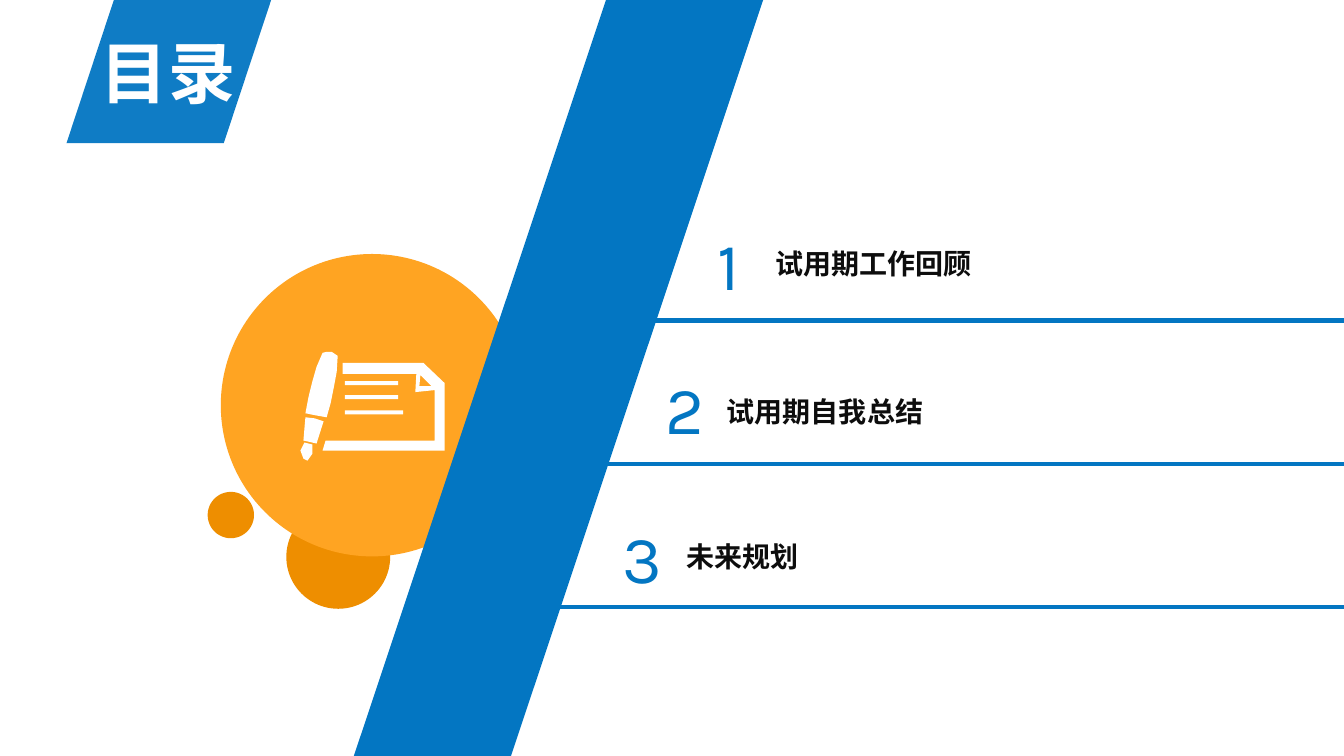
from dataclasses import dataclass

from lxml import etree
from pptx import Presentation
from pptx.dml.color import RGBColor
from pptx.enum import shapes, text
from pptx.oxml import ns
from pptx.util import Inches, Pt


@dataclass(frozen=True)
class Theme:
    blue: str = "0376C2"
    orange: str = "FFA422"
    dark_orange: str = "EE8E00"
    white: str = "FFFFFF"
    ink: str = "0D0D0D"
    latin: str = "Karla"
    chinese: str = "Noto Sans CJK SC"
    large: int = 48
    body: int = 20


theme = Theme()


def paint(shape, color):
    """Give a shape a plain fill without line or shadow."""
    shape.shadow.inherit = False
    shape.fill.solid()
    shape.fill.fore_color.rgb = RGBColor.from_string(color)
    shape.line.fill.background()


def write(shape, wording, box, color, wrap=False, **font_format):
    """Place a text shape and format its single run."""
    shape.left, shape.top, shape.width, shape.height = map(Inches, box)
    frame = shape.text_frame
    frame_format = {"word_wrap": wrap, "auto_size": text.MSO_AUTO_SIZE.SHAPE_TO_FIT_TEXT,
                    "vertical_anchor": text.MSO_ANCHOR.TOP}
    for name, value in frame_format.items():
        setattr(frame, name, value)
    paragraph = frame.paragraphs[0]
    paragraph.alignment = text.PP_ALIGN.LEFT
    paragraph.line_spacing = 1.0
    paragraph.space_before = Pt(0)
    run = paragraph.add_run()
    run.text = wording
    for name, value in font_format.items():
        setattr(run.font, name, value)
    run.font.color.rgb = RGBColor.from_string(color)
    east_asian = etree.SubElement(run.font._element, ns.qn("a:ea"))
    east_asian.set("typeface", theme.chinese)


presentation = Presentation()
presentation.slide_width = Inches(13.33)
presentation.slide_height = Inches(7.5)
slide = presentation.slides.add_slide(presentation.slide_layouts[5])

# Large circle over a smaller one
for left, top, size, color in [(2.84, 5.01, 1.03, theme.dark_orange),
                               (2.19, 2.52, 3, theme.orange)]:
    circle = slide.shapes.add_shape(shapes.MSO_SHAPE.OVAL, *map(Inches, (left, top, size, size)))
    paint(circle, color)

# Pen and paper icon
pen_cap = [(3.2, 3.5), (3.24, 3.49), (3.29, 3.49), (3.35, 3.53), (3.34, 3.69), (3.31, 3.85),
           (3.28, 4), (3.24, 4.14), (3.13, 4.12), (3.03, 4.1), (3.06, 3.94), (3.1, 3.78),
           (3.14, 3.64)]
pen_grip = [(3.03, 4.14), (3.02, 4.25), (3.01, 4.37), (3.14, 4.4), (3.21, 4.18), (3.12, 4.15)]
pen_nib = [(3.02, 4.39), (3.1, 4.41), (3.1, 4.5), (3.05, 4.57), (3.01, 4.55), (2.98, 4.47)]
page = [(3.23, 4.37), (3.2, 4.47), (4.41, 4.47), (4.41, 3.8), (4.2, 3.6), (3.4, 3.6),
        (3.4, 3.71), (4.13, 3.71), (4.12, 3.89), (4.31, 3.87), (4.31, 4.37)]
page_fold = [(4.28, 3.83), (4.16, 3.83), (4.17, 3.72)]
writing = [[(3.42, top), (right, top), (right, top + 0.04), (3.42, top + 0.04)]
           for top, right in [(3.78, 3.95), (3.92, 3.95), (4.07, 4)]]
icon = slide.shapes.build_freeform(Inches(3.2), Inches(3.5))
for outline in [pen_cap, pen_grip, pen_nib, page, page_fold, *writing]:
    points = [(Inches(x), Inches(y)) for x, y in outline]
    icon.move_to(*points[0])
    icon.add_line_segments(points[1:], close=True)
paint(icon.convert_to_shape(), theme.white)

# Slanted title tag, slightly transparent
tag_points = [(Inches(x), Inches(y)) for x, y in [(1.13, 0), (2.69, 0), (2.22, 1.42), (0.66, 1.42)]]
tag_builder = slide.shapes.build_freeform(*tag_points[0])
tag_builder.add_line_segments(tag_points[1:], close=True)
tag = tag_builder.convert_to_shape()
paint(tag, theme.blue)
tag_color = tag._element.spPr.find(ns.qn("a:solidFill"))[0]
etree.SubElement(tag_color, ns.qn("a:alpha")).set("val", "95000")

# Diagonal band
band = slide.shapes.add_shape(shapes.MSO_SHAPE.PARALLELOGRAM,
                              Inches(3.51), 0, Inches(4.06), Inches(7.5))
band.adjustments[0] = 0.616
paint(band, theme.blue)

# Title, brought in front of its tag
title = slide.shapes.title
title._element.getparent().append(title._element)
write(title, "目录", (0.9, 0.26, 1.55, 0.91), theme.white,
      name=theme.latin, size=Pt(theme.large), bold=True)

# Contents: number, heading and rule
entries = [("试用期工作回顾", 7.02, 2.17, 7.59, 2.4, 6.29),
           ("试用期自我总结", 6.5, 3.59, 7.11, 3.86, 5.83),
           ("未来规划", 6.08, 5.07, 6.71, 5.3, 5.54)]
for index, (heading, number_left, number_top, left, top, rule_left) in enumerate(entries):
    number_box = slide.shapes.add_textbox(0, 0, 0, 0)
    write(number_box, str(index + 1), (number_left, number_top, 0.56, 0.91), theme.blue,
          name=theme.latin, size=Pt(theme.large))
    heading_box = slide.shapes.add_textbox(0, 0, 0, 0)
    write(heading_box, heading, (left, top, 3.71, 0.44), theme.ink, wrap=True,
          name=theme.chinese, size=Pt(theme.body), bold=True)
    rule_top = Inches(3.18 + 1.42 * index)
    rule = slide.shapes.add_connector(shapes.MSO_CONNECTOR.STRAIGHT, Inches(rule_left), rule_top,
                                      presentation.slide_width, rule_top)
    rule.line.color.rgb = RGBColor.from_string(theme.blue)
    rule.line.width = Pt(3)
    etree.SubElement(rule._element.spPr, ns.qn("a:effectLst"))

# Small loose circle
dot = slide.shapes.add_shape(shapes.MSO_SHAPE.OVAL, *map(Inches, (2.06, 4.88, 0.46, 0.46)))
paint(dot, theme.dark_orange)

presentation.save("out.pptx")
